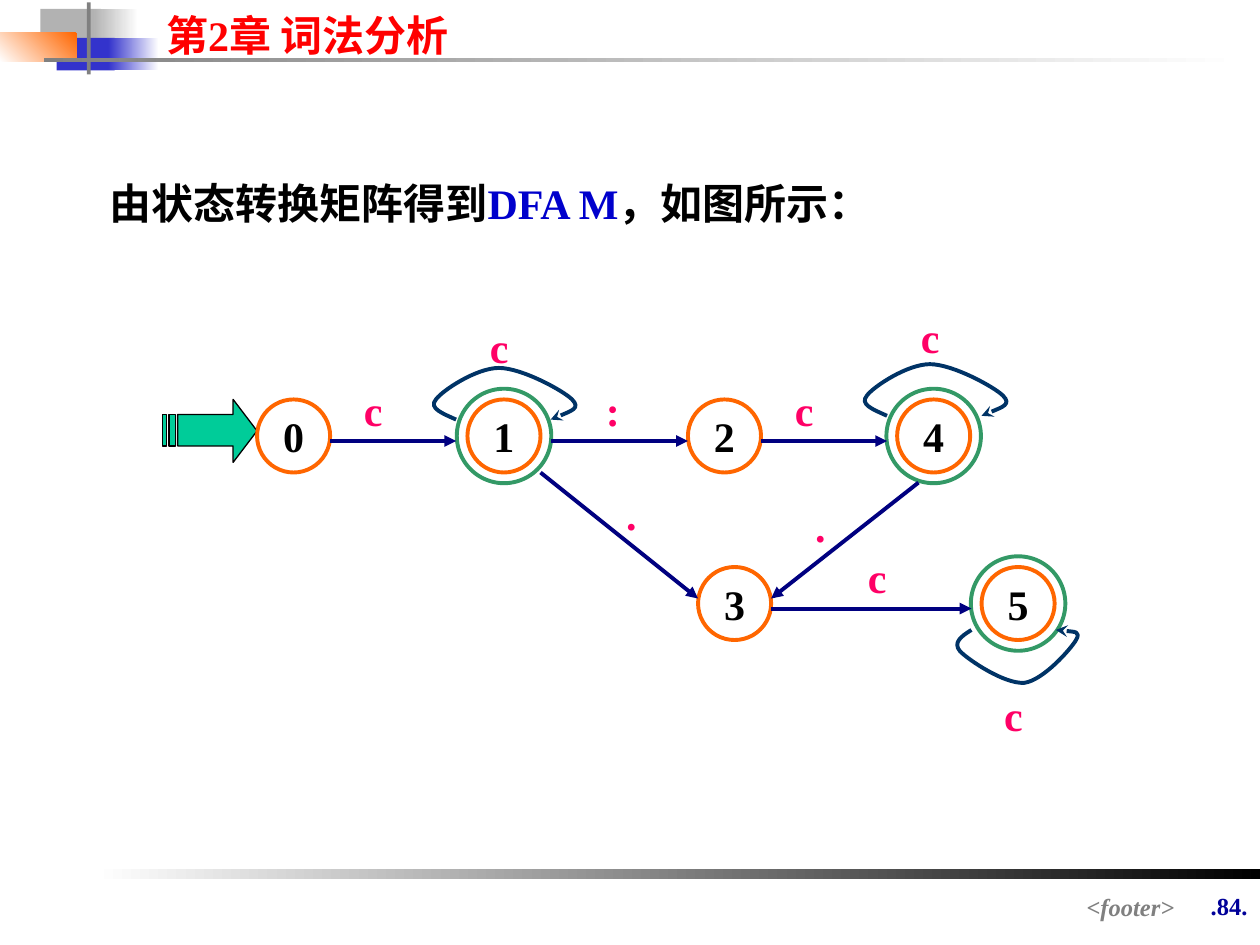
from lxml import etree
from pptx import Presentation
from pptx.dml.color import RGBColor
from pptx.enum.shapes import MSO_CONNECTOR as CONNECTOR, MSO_SHAPE as SHAPE
from pptx.enum.text import MSO_ANCHOR as ANCHOR, MSO_AUTO_SIZE as AUTO_SIZE, PP_ALIGN as ALIGN
from pptx.oxml.ns import qn
from pptx.util import Inches, Pt

FONT = "Times New Roman"
INNER, OUTER = 0.58, 0.75  # circle diameters

# state: (centre x, centre y, accepting)
STATES = {
    "0": (2.33, 3.46, False),
    "1": (4.0, 3.46, True),
    "2": (5.75, 3.46, False),
    "3": (5.83, 4.79, False),
    "4": (7.41, 3.46, True),
    "5": (8.08, 4.79, True),
}
TRANSITIONS = [
    ((2.62, 3.5), (3.62, 3.5)),
    ((4.37, 3.5), (5.46, 3.5)),
    ((6.04, 3.5), (7.04, 3.5)),
    ((4.29, 3.75), (5.54, 4.75)),
    ((7.29, 3.83), (6.12, 4.75)),
    ((6.12, 4.83), (7.71, 4.83)),
]
LABELS = [
    ("c", 2.79, 3), ("c", 3.79, 2.5), ("c", 6.21, 3), ("c", 7.21, 2.42),
    ("c", 6.79, 4.33), ("c", 7.87, 5.42),
    (":", 4.71, 3), (".", 4.87, 3.83), (".", 6.37, 3.92),
]
# Bezier points of the self-loops, relative to where each loop starts
LOOP_ABOVE = [
    (-0.11, -0.05), (-0.22, -0.09), (-0.16, -0.16),
    (-0.11, -0.23), (0.16, -0.41), (0.34, -0.41),
    (0.52, -0.41), (0.85, -0.23), (0.92, -0.16),
    (0.99, -0.09), (0.87, -0.05), (0.75, 0),
]
LOOP_BELOW = [
    (-0.08, 0.05), (-0.15, 0.1), (-0.09, 0.17),
    (-0.02, 0.24), (0.26, 0.43), (0.42, 0.42),
    (0.57, 0.4), (0.79, 0.15), (0.83, 0.08),
    (0.87, 0.01), (0.77, 0.01), (0.67, 0),
]


def color(hex_code):
    return RGBColor.from_string(hex_code)


def style(shape, fill=None, line=None, width=2.25):
    shape.shadow.inherit = False
    if fill:
        shape.fill.solid()
        shape.fill.fore_color.rgb = color(fill)
    else:
        shape.fill.background()
    if line:
        shape.line.color.rgb = color(line)
        shape.line.width = Pt(width)
    else:
        shape.line.fill.background()


def add_bar(slide, left, top, width, height, start, end=None, angle=180):
    bar = slide.shapes.add_shape(
        SHAPE.RECTANGLE, Inches(left), Inches(top), Inches(width), Inches(height))
    style(bar, start)
    if end:
        bar.fill.gradient()
        bar.fill.gradient_angle = angle
        for stop, shade in zip(bar.fill.gradient_stops, (start, end)):
            stop.color.rgb = color(shade)


def write(paragraph, runs, size=24, align=None, italic=None):
    paragraph.alignment = align
    font = paragraph.font
    font.name, font.size, font.bold, font.italic = FONT, Pt(size), True, italic
    for words, hex_code in runs:
        run = paragraph.add_run()
        run.text = words
        run.font.color.rgb = color(hex_code)


def add_text(slide, left, top, width, height, runs, grow=True, **look):
    frame = slide.shapes.add_textbox(
        Inches(left), Inches(top), Inches(width), Inches(height)).text_frame
    frame.word_wrap = True
    if grow:
        frame.auto_size = AUTO_SIZE.SHAPE_TO_FIT_TEXT
    write(frame.paragraphs[0], runs, **look)
    return frame


def add_circle(slide, x, y, diameter, line):
    circle = slide.shapes.add_shape(
        SHAPE.OVAL, Inches(x - diameter / 2), Inches(y - diameter / 2),
        Inches(diameter), Inches(diameter))
    style(circle, line=line)
    return circle


def add_state(slide, name, x, y, accepting):
    frame = add_circle(slide, x, y, INNER, "FF6600").text_frame
    frame.word_wrap = False
    frame.vertical_anchor = ANCHOR.MIDDLE
    write(frame.paragraphs[0], [(name, "000000")], align=ALIGN.CENTER)
    if accepting:
        add_circle(slide, x, y, OUTER, "339966")


def add_arrowhead(shape, kind):
    etree.SubElement(shape.line._get_or_add_ln(), qn("a:tailEnd"), type=kind)


def add_transition(slide, start, end):
    arrow = slide.shapes.add_connector(
        CONNECTOR.STRAIGHT, *(Inches(value) for value in start + end))
    arrow.line.color.rgb = color("000080")
    arrow.line.width = Pt(2.25)
    add_arrowhead(arrow, "triangle")
    etree.SubElement(arrow._element.spPr, qn("a:effectLst"))


def add_loop(slide, x, y, offsets):
    builder = slide.shapes.build_freeform(Inches(x), Inches(y))
    builder.add_line_segments(
        [(Inches(x + dx), Inches(y + dy)) for dx, dy in offsets], close=False)
    loop = builder.convert_to_shape()
    style(loop, line="003366")
    add_arrowhead(loop, "stealth")
    # Turn every three straight segments into one cubic curve
    segments = list(loop._element.iter(qn("a:lnTo")))
    for first in range(0, len(segments), 3):
        curve = etree.Element(qn("a:cubicBezTo"))
        segments[first].addprevious(curve)
        for segment in segments[first:first + 3]:
            curve.append(segment[0])
            segment.getparent().remove(segment)


def add_start_arrow(slide):
    top, bottom = 3.29, 3.54
    head = [(1.41, top), (1.85, top), (1.85, 3.17), (2.04, 3.42),
            (1.85, 3.67), (1.85, bottom), (1.41, bottom)]
    stripes = [[(left, top), (right, top), (right, bottom), (left, bottom)]
               for left, right in ((1.29, 1.32), (1.34, 1.39))]
    builder = slide.shapes.build_freeform(*(Inches(value) for value in head[0]))
    for outline in [head] + stripes:
        points = [(Inches(x), Inches(y)) for x, y in outline]
        if outline is not head:
            builder.move_to(*points[0])
        builder.add_line_segments(points[1:], close=True)
    style(builder.convert_to_shape(), "00CC99", "000000", 0.75)


def add_frame(slide):
    # Header ornament and chapter title
    add_bar(slide, 0.32, 0.07, 0.48, 0.26, "B2B2B2")
    add_bar(slide, 0.74, 0.07, 0.36, 0.26, "FFFFFF", "B2B2B2")
    add_bar(slide, 0.45, 0.3, 0.46, 0.26, "3333CC")
    add_bar(slide, 0.86, 0.3, 0.4, 0.26, "FFFFFF", "3333CC")
    add_bar(slide, 0, 0.26, 0.61, 0.23, "FF6600", "FFFFFF", angle=225)
    add_bar(slide, 0.69, 0.02, 0.03, 0.57, "808080")
    add_bar(slide, 0.35, 0.46, 9.51, 0.03, "FFFFFF", "808080")
    add_text(slide, 1.22, 0.03, 3.15, 0.5, [("第2章 词法分析", "FF0000")])

    # Footer
    add_bar(slide, 0.75, 6.9, 9.25, 0.08, "000000", "FFFFFF")
    add_text(slide, 9.33, 7.02, 0.67, 0.57, [(".84.", "000099")],
             size=14, align=ALIGN.RIGHT)
    add_text(slide, 2.64, 7.03, 6.78, 0.26, [("<footer>", "808080")], grow=False,
             size=14, align=ALIGN.RIGHT, italic=True)


def main():
    deck = Presentation()
    deck.slide_width, deck.slide_height = Inches(10), Inches(7.5)
    slide = deck.slides.add_slide(deck.slide_layouts[6])
    add_frame(slide)

    # Lead sentence
    sentence = add_text(slide, 0.17, 1.36, 7.83, 0.5, [
        ("由状态转换矩阵得到", "000000"), ("DFA M", "0000CC"), ("，如图所示：", "000000")])
    sentence.margin_left = Inches(0.7)

    # Automaton
    add_start_arrow(slide)
    for name, (x, y, accepting) in STATES.items():
        add_state(slide, name, x, y, accepting)
    for start, end in TRANSITIONS:
        add_transition(slide, start, end)
    add_loop(slide, 3.62, 3.33, LOOP_ABOVE)
    add_loop(slide, 7.04, 3.3, LOOP_ABOVE)
    add_loop(slide, 7.71, 5, LOOP_BELOW)
    for symbol, left, top in LABELS:
        label = add_text(slide, left, top, 0.42, 0.5, [(symbol, "FF0066")])
        label.paragraphs[0].space_before = Pt(15)

    deck.save("out.pptx")


if __name__ == "__main__":
    main()
